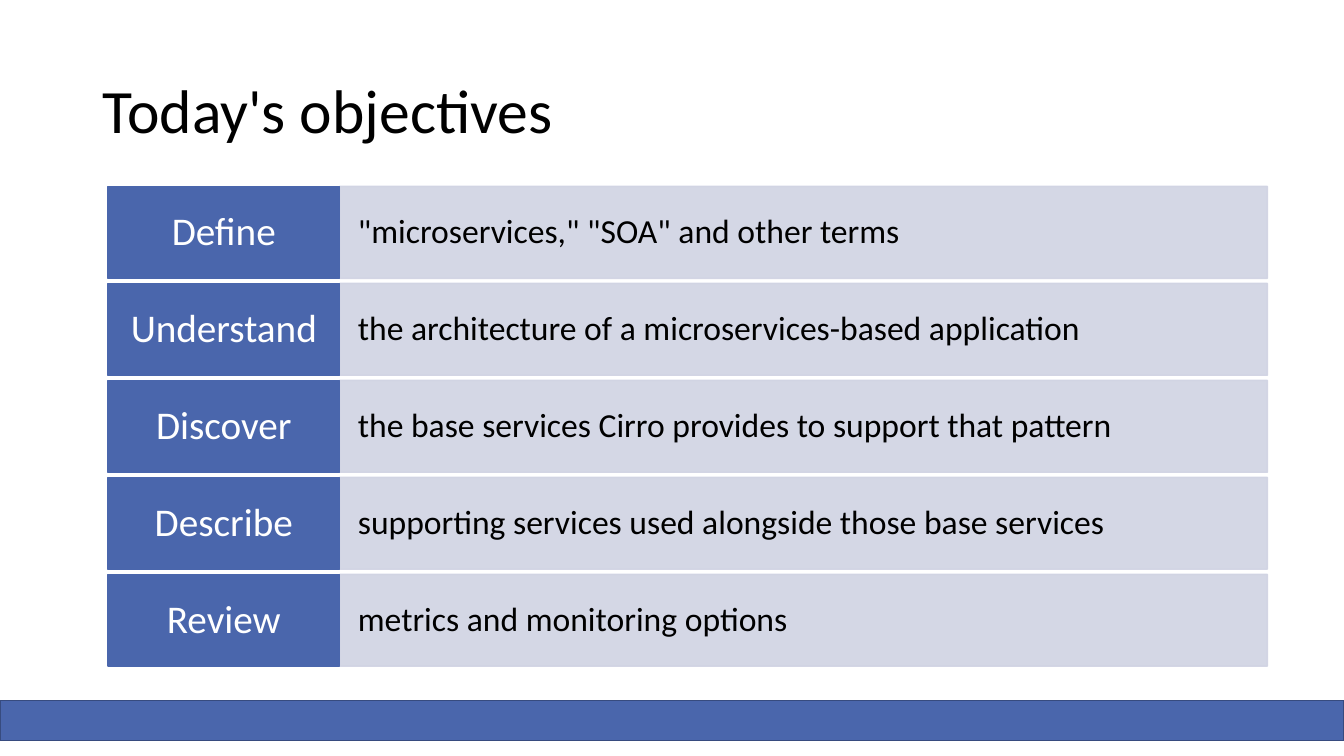
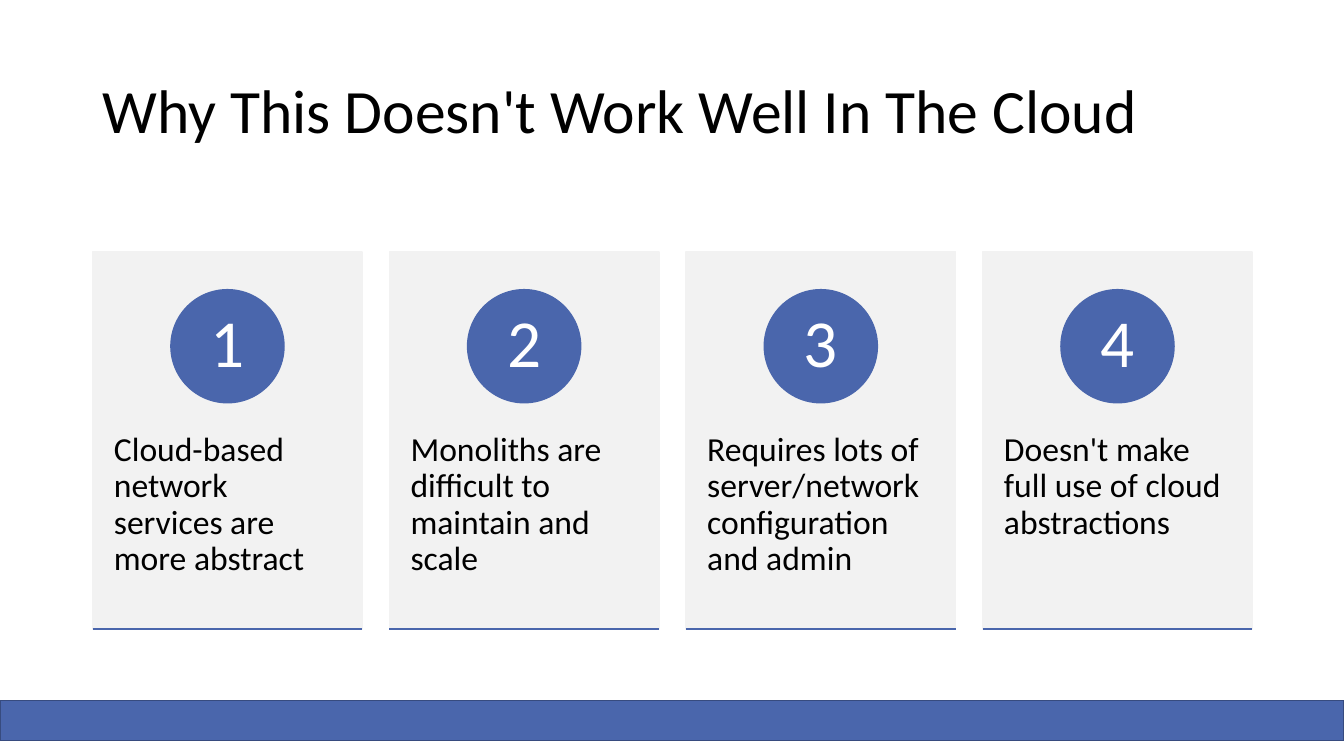
from lxml import etree
from pptx import Presentation
from pptx.dml.color import RGBColor
from pptx.enum.shapes import MSO_CONNECTOR, MSO_SHAPE
from pptx.enum.text import MSO_ANCHOR, PP_ALIGN
from pptx.oxml.ns import qn
from pptx.util import Inches, Pt

ACCENT = RGBColor(0x4A, 0x66, 0xAC)
ACCENT_DARK = RGBColor(0x37, 0x4B, 0x7F)
PALE = RGBColor(0xD0, 0xD3, 0xE3)
CARD = RGBColor(0xF2, 0xF2, 0xF2)
BLACK = RGBColor(0, 0, 0)
WHITE = RGBColor(0xFF, 0xFF, 0xFF)
FONT = "Calibri"
SLIDE_W, SLIDE_H = 13.33, 7.5

OBJECTIVES = [
    ("Define", '"microservices," "SOA" and other terms'),
    ("Understand", "the architecture of a microservices-based application"),
    ("Discover", "the base services Cirro provides to support that pattern"),
    ("Describe", "supporting services used alongside those base services"),
    ("Review", "metrics and monitoring options"),
]
REASONS = [
    "Cloud-based network services are more abstract",
    "Monoliths are difficult to maintain and scale",
    "Requires lots of server/network configuration and admin",
    "Doesn't make full use of cloud abstractions",
]


def set_text(sp, text, size, color, align=PP_ALIGN.LEFT,
             anchor=MSO_ANCHOR.MIDDLE, insets=(0.1, 0.05, 0.1, 0.05)):
    tf = sp.text_frame
    tf.word_wrap = True
    tf.vertical_anchor = anchor
    tf.margin_left, tf.margin_top, tf.margin_right, tf.margin_bottom = map(Inches, insets)
    p = tf.paragraphs[0]
    p.text = text
    p.alignment = align
    p.line_spacing = 0.9
    p.font.name = FONT
    p.font.size = Pt(size)
    p.font.color.rgb = color


def add_box(slide, kind, box, fill, line=None):
    sp = slide.shapes.add_shape(kind, *map(Inches, box))
    sp.shadow.inherit = False
    sp.fill.solid()
    sp.fill.fore_color.rgb = fill
    sp.line.color.rgb = line or fill
    sp.line.width = Pt(1)
    return sp


def set_opacity(sp, percent):
    for color in sp._element.spPr.iter(qn("a:srgbClr")):
        etree.SubElement(color, qn("a:alpha"), val=str(percent * 1000))


def add_rule(slide, left, top, width):
    rule = slide.shapes.add_connector(
        MSO_CONNECTOR.STRAIGHT, Inches(left), Inches(top), Inches(left + width), Inches(top))
    rule.line.color.rgb = ACCENT
    rule.line.width = Pt(1)
    etree.SubElement(rule._element.spPr, qn("a:effectLst"))


def add_base_slide(prs, title):
    slide = prs.slides.add_slide(prs.slide_layouts[6])
    add_box(slide, MSO_SHAPE.RECTANGLE, (0, 6.95, SLIDE_W, 0.4), ACCENT, ACCENT_DARK)
    sp = slide.shapes.add_textbox(*map(Inches, (0.92, 0.4, 11.5, 1.45)))
    set_text(sp, title, 44, BLACK)
    return slide


def add_objective_rows(slide, box, rows, gap=0.05):
    left, top, width, height = box
    row_h = (height - gap * (len(rows) - 1)) / len(rows)
    label_w = width / 5
    for i, (verb, detail) in enumerate(rows):
        y = top + i * (row_h + gap)
        sp = add_box(slide, MSO_SHAPE.RECTANGLE,
                     (left + label_w, y, width - label_w, row_h), PALE)
        set_opacity(sp, 90)
        set_text(sp, detail, 24, BLACK, insets=(0.18, 0.23, 0.18, 0.23))
        sp = add_box(slide, MSO_SHAPE.RECTANGLE, (left, y, label_w, row_h), ACCENT)
        set_text(sp, verb, 28, WHITE, PP_ALIGN.CENTER, insets=(0.12, 0.09, 0.12, 0.09))


def add_reason_cards(slide, box, reasons, gap=0.27):
    left, top, width, height = box
    card_w = (width - gap * (len(reasons) - 1)) / len(reasons)
    badge = 0.3 * height
    for i, reason in enumerate(reasons):
        x = left + i * (card_w + gap)
        sp = add_box(slide, MSO_SHAPE.RECTANGLE, (x, top, card_w, height), CARD)
        set_text(sp, reason, 24, BLACK, anchor=MSO_ANCHOR.TOP,
                 insets=(0.21, 1.79, 0.21, 0.36))
        sp = add_box(slide, MSO_SHAPE.OVAL,
                     (x + (card_w - badge) / 2, top + height / 10, badge, badge), ACCENT)
        set_text(sp, str(i + 1), 48, WHITE, PP_ALIGN.CENTER,
                 insets=(0.09, 0.01, 0.09, 0.01))
        add_rule(slide, x, top + height, card_w)


def main():
    prs = Presentation()
    prs.slide_width = Inches(SLIDE_W)
    prs.slide_height = Inches(SLIDE_H)
    slide = add_base_slide(prs, "Today's objectives")
    add_objective_rows(slide, (1.07, 1.85, 11.5, 4.76), OBJECTIVES)
    slide = add_base_slide(prs, "Why This Doesn't Work Well In The Cloud")
    add_reason_cards(slide, (0.92, 2.5, 11.5, 3.74), REASONS)
    prs.save("out.pptx")


if __name__ == "__main__":
    main()
